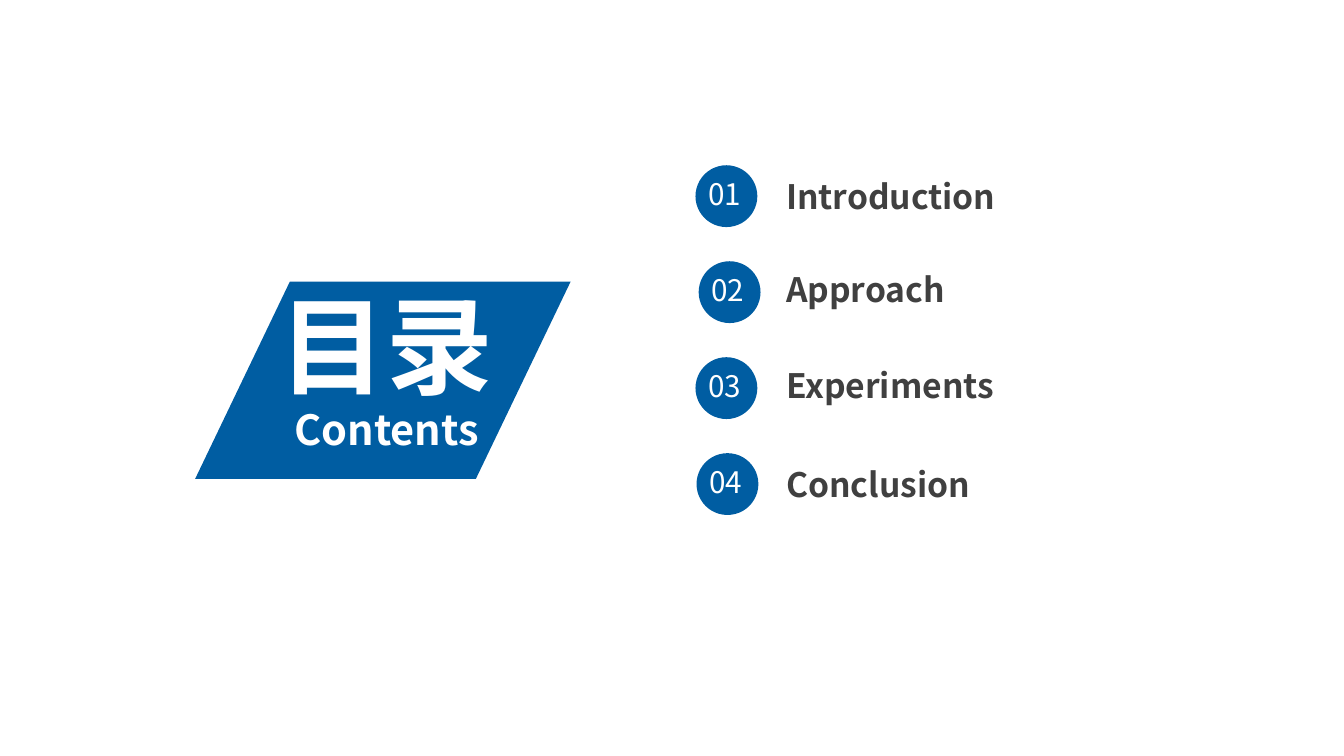
"""Build a contents slide with a title banner and four numbered topics."""
import pptx
import pptx.util
import pptx.dml.color
import pptx.enum.shapes
import pptx.enum.text
import lxml.etree

TITLE = [("目录", 72), ("Contents", 28)]
TOPICS = [
    ("Introduction", 6.52, 1.61),
    ("Approach", 6.55, 2.48),
    ("Experiments", 6.52, 3.38),
    ("Conclusion", 6.53, 4.31),
]
COLORS = {"blue": "005DA2", "white": "FFFFFF", "dark": "404040"}
FACE = "Noto Sans CJK SC"
WIDE, HIGH = 12.6, 7.09
TOP, PITCH, DISC = 1.55, 0.9, 0.58
KINDS = pptx.enum.shapes.MSO_SHAPE
ALIGN = pptx.enum.text.PP_ALIGN
ANCHOR = pptx.enum.text.MSO_ANCHOR
FIT = pptx.enum.text.MSO_AUTO_SIZE
EAST = "{http://schemas.openxmlformats.org/drawingml/2006/main}ea"


def color(name):
    return pptx.dml.color.RGBColor.from_string(COLORS[name])


def add_form(slide, kind, *box):
    form = slide.shapes.add_shape(kind, *map(pptx.util.Inches, box))
    form.shadow.inherit = False
    form.fill.solid()
    form.fill.fore_color.rgb = color("blue")
    form.line.fill.background()
    return form


def add_text(slide, box, lines, tint, bold=False, wrap=True, inset=(0.1, 0.05)):
    frame = slide.shapes.add_textbox(*map(pptx.util.Inches, box)).text_frame
    frame.word_wrap = wrap
    frame.margin_left = frame.margin_right = pptx.util.Inches(inset[0])
    frame.margin_top = frame.margin_bottom = pptx.util.Inches(inset[1])
    frame.text = "\n".join(text for text, size in lines)
    for para, (text, size) in zip(frame.paragraphs, lines):
        font = para.font
        font.size = pptx.util.Pt(size)
        font.bold = bold
        font.color.rgb = color(tint)
        font.name = FACE
        lxml.etree.SubElement(font._rPr, EAST, typeface=FACE)
    return frame


def add_title(slide):
    banner = add_form(slide, KINDS.PARALLELOGRAM, 1.83, 2.64, 3.52, 1.85)
    banner.adjustments[0] = 0.48
    frame = add_text(slide, (2.39, 3.24, 2.47, 0.54), TITLE, "white", bold=True)
    frame.vertical_anchor = ANCHOR.MIDDLE
    for para in frame.paragraphs:
        para.alignment = ALIGN.CENTER
        para.line_spacing = 0.9


def add_topics(slide):
    for row, (name, left, high) in enumerate(TOPICS):
        top = TOP + row * PITCH
        add_form(slide, KINDS.OVAL, left, top, DISC, DISC)
        mark = add_text(slide, (left + 0.02, top + 0.05, 0.53, 0.44),
                        [(f"{row + 1:02}", 20)], "white", wrap=False)
        label = add_text(slide, (7.29, high, 5, 0.46), [(name, 22.7)],
                         "dark", bold=True, inset=(0.08, 0.04))
        mark.auto_size = label.auto_size = FIT.SHAPE_TO_FIT_TEXT


def main():
    deck = pptx.Presentation()
    deck.slide_width = pptx.util.Inches(WIDE)
    deck.slide_height = pptx.util.Inches(HIGH)
    slide = deck.slides.add_slide(deck.slide_layouts[6])
    add_title(slide)
    add_topics(slide)
    deck.save("out.pptx")


if __name__ == "__main__":
    main()
